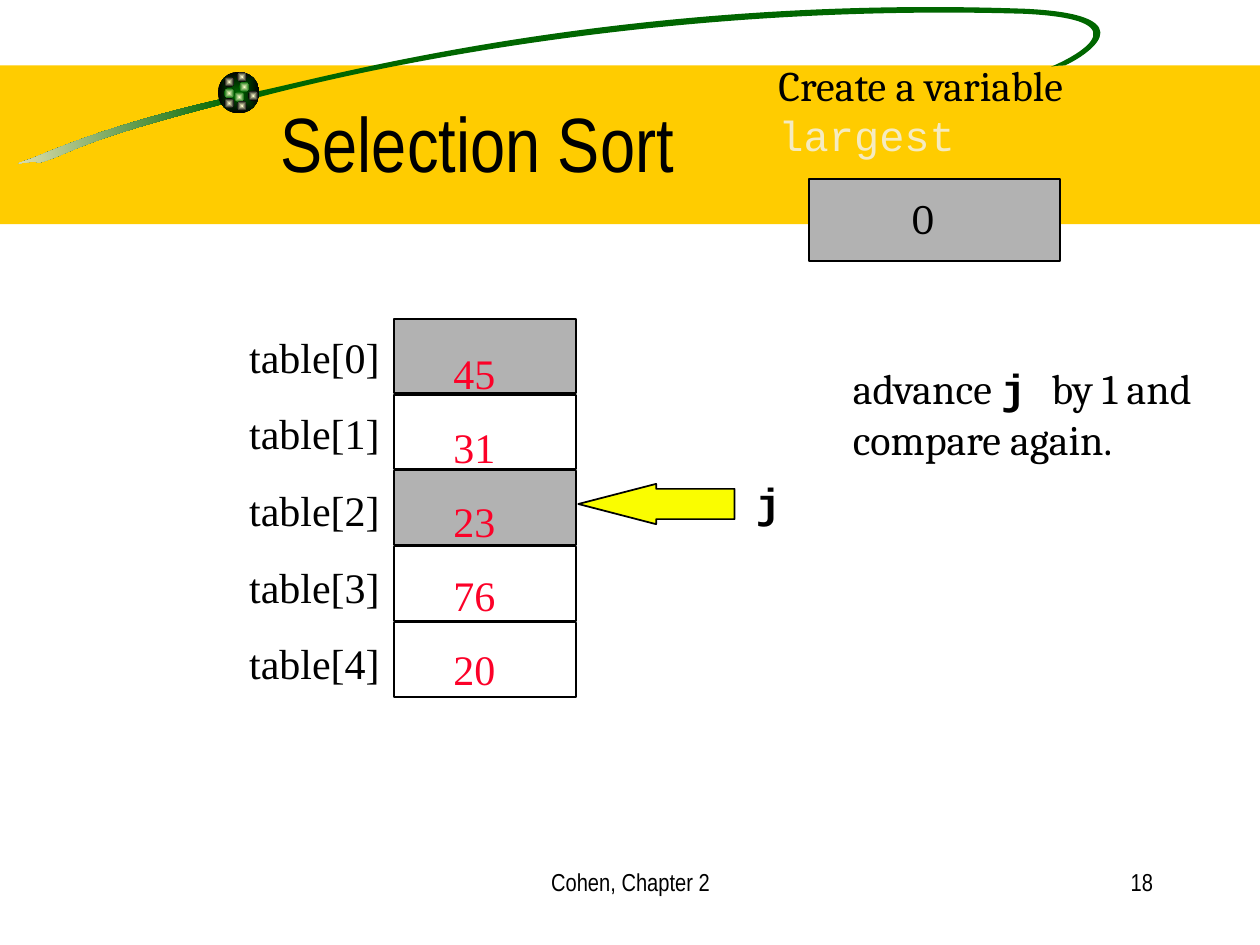
import math
from dataclasses import dataclass
from typing import Any

from lxml import etree
from pptx import Presentation
from pptx import util as u
from pptx.dml.color import RGBColor
from pptx.enum import shapes, text
from pptx.oxml.ns import qn

SHAPE = shapes.MSO_SHAPE
ALIGN = text.PP_ALIGN
GREEN, BLACK, CREAM, GREY, WHITE = "006600", "000000", "F5EBC1", "B2B2B2", "FFFFFF"
SERIF, SLAB, MONO, NARROW = "Times New Roman", "Cambria", "Courier New", "Arial Narrow"
TILT = 351.5

TAIL = [(1.78, 0.78), (0.91, 0.98), (0.49, 1.16), (0.25, 1.26),
        (0.01, 1.34), (0.26, 1.26), (0.31, 1.29),
        (0.57, 1.22), (0.57, 1.13), (1.79, 0.82),
        (1.79, 0.82), (1.78, 0.78), (1.78, 0.78)]
LOOP = [(2.02, 0.73), (2.46, 0.65), (4.86, -0.05), (8.14, 0.07),
        (9.17, 0.12), (8.57, 0.47), (8.45, 0.52),
        (8.45, 0.52), (8.38, 0.52), (8.34, 0.53),
        (8.44, 0.49), (9.16, 0.16), (8.13, 0.11),
        (5.48, 0.03), (3.2, 0.47), (2.06, 0.77),
        (2.06, 0.77), (2.02, 0.73), (2.02, 0.73)]
SPOTS = [(1.9, 0.65, GREEN), (1.78, 0.61, BLACK), (1.78, 0.7, GREEN),
         (1.86, 0.73, GREEN), (1.97, 0.72, BLACK), (1.88, 0.8, BLACK),
         (1.78, 0.78, BLACK), (1.88, 0.57, BLACK)]
VALUES = ["45", "31", "23", "76", "20"]


def color(code):
    """Turn a hex string into a colour."""
    return RGBColor.from_string(code)


def turn(point, center, degrees):
    """Turn a point clockwise around a centre, in inches."""
    angle = math.radians(degrees)
    x, y = point[0] - center[0], point[1] - center[1]
    return (u.Inches(center[0] + x * math.cos(angle) - y * math.sin(angle)),
            u.Inches(center[1] + x * math.sin(angle) + y * math.cos(angle)))


@dataclass
class Painter:
    """Draw styled elements on the current slide."""

    slide: Any
    size: int = 24

    def paint(self, shape, fill, line=None):
        """Give a shape its fill and outline without a shadow."""
        shape.shadow.inherit = False
        if isinstance(fill, tuple):
            shape.fill.gradient()
            for stop, code in zip(shape.fill.gradient_stops, fill):
                stop.color.rgb = color(code)
        else:
            shape.fill.solid()
            shape.fill.fore_color.rgb = color(fill)
        if line:
            shape.line.color.rgb = color(line)
            shape.line.width = u.Pt(1)
        else:
            shape.line.fill.background()
        return shape

    def shape(self, kind, left, top, width, height, fill, line=None):
        """Add a preset shape."""
        shape = self.slide.shapes.add_shape(
            kind, u.Inches(left), u.Inches(top), u.Inches(width), u.Inches(height))
        return self.paint(shape, fill, line)

    def veil(self, left, top, width, height, code):
        """Add a half transparent rectangle."""
        veil = self.shape(SHAPE.RECTANGLE, left, top, width, height, code)
        tint = veil._element.spPr.find(".//" + qn("a:srgbClr"))
        etree.SubElement(tint, qn("a:alpha"), val="50000")

    def ball(self, left, top, size, inner, outer):
        """Add a circle shaded from its centre outwards."""
        ball = self.shape(SHAPE.OVAL, left, top, size, size, (inner, outer))
        ball.fill.gradient_angle = 0
        linear = ball._element.spPr.find(".//" + qn("a:lin"))
        gradient = linear.getparent()
        gradient.remove(linear)
        shade = etree.SubElement(gradient, qn("a:path"), path="rect")
        etree.SubElement(shade, qn("a:fillToRect"),
                         {side: "50000" for side in "ltrb"})

    def swoosh(self, controls, center, fill):
        """Add a tilted closed outline made of cubic curves."""
        start, *rest = [turn(point, center, -TILT) for point in controls]
        builder = self.slide.shapes.build_freeform(*start)
        builder.add_line_segments(rest, close=True)
        outline = builder.convert_to_shape()
        segments = list(outline._element.iter(qn("a:lnTo")))
        for first in range(0, len(segments), 3):
            group = segments[first:first + 3]
            curve = etree.Element(qn("a:cubicBezTo"))
            group[0].addprevious(curve)
            for segment in group:
                curve.append(segment[0])
                segment.getparent().remove(segment)
        outline.rotation = TILT
        return self.paint(outline, fill)

    def text(self, left, top, width, height, lines, font=SERIF, size=None,
             code=BLACK, bold=False, align=ALIGN.LEFT, gap=0, middle=False, wrap=True):
        """Add a text box with one paragraph for each line."""
        box = self.slide.shapes.add_textbox(
            u.Inches(left), u.Inches(top), u.Inches(width), u.Inches(height))
        frame = box.text_frame
        frame.word_wrap = wrap
        if not wrap:
            frame.auto_size = text.MSO_AUTO_SIZE.SHAPE_TO_FIT_TEXT
        if middle:
            frame.vertical_anchor = text.MSO_ANCHOR.MIDDLE
        frame.text = "\n".join(lines)
        for index, para in enumerate(frame.paragraphs):
            para.alignment = align
            if index and gap:
                para.space_before = u.Pt(gap)
            for span in para.runs:
                self.style(span, font, code, bold, size)
        return frame.paragraphs[0]

    def style(self, span, font, code=BLACK, bold=False, size=None):
        """Set the font of a run."""
        span.font.name = font
        span.font.size = u.Pt(size or self.size)
        span.font.bold = bold
        span.font.color.rgb = color(code)

    def add_span(self, para, words, font, code=BLACK, bold=False):
        """Append a styled run to a paragraph."""
        span = para.add_run()
        span.text = words
        self.style(span, font, code, bold)


def main():
    """Build the selection sort slide."""
    deck = Presentation()
    deck.slide_width, deck.slide_height = u.Inches(10), u.Inches(7.5)
    page = Painter(deck.slides.add_slide(deck.slide_layouts[6]))

    page.shape(SHAPE.RECTANGLE, 0, 0.52, 10, 1.26, "FFCC00")
    tail = page.swoosh(TAIL, (0.89, 1.06), (GREEN, CREAM))
    tail.fill.gradient_angle = 180
    page.swoosh(LOOP, (5.59, 0.4), GREEN)
    page.ball(1.73, 0.57, 0.33, GREEN, BLACK)
    for left, top, outer in SPOTS:
        page.ball(left, top, 0.08, "FFFFCC", outer)
    page.veil(0.74, 2.06, 1.22, 5.44, WHITE)

    labels = [f"table[{index}]" for index in range(len(VALUES))]
    page.text(1.88, 2.58, 1.27, 2.93, labels, gap=15)
    pitch = (4.94 - 2.53) / (len(VALUES) - 1)
    for index in range(len(VALUES)):
        fill = GREY if index in (0, 2) else WHITE
        page.shape(SHAPE.RECTANGLE, 3.13, 2.53 + pitch * index, 1.44, 0.59, fill, BLACK)
    page.text(3.5, 2.71, 0.54, 2.85, VALUES, code="FC0128", gap=13.5, wrap=False)

    page.shape(SHAPE.RECTANGLE, 6.42, 1.42, 1.99, 0.65, GREY, BLACK)
    page.text(7.14, 1.48, 0.39, 0.5, ["0"], SLAB, wrap=False)

    advice = page.text(6.67, 2.83, 2.92, 1.3, ["advance "], SLAB)
    page.add_span(advice, "j ", MONO, bold=True)
    page.add_span(advice, "by 1 and compare again.", SLAB)

    arrow = page.shape(SHAPE.LEFT_ARROW, 4.59, 3.84, 1.24, 0.32, "FAFD00", BLACK)
    arrow.adjustments[0], arrow.adjustments[1] = 0.75, 1.93
    page.text(5.9, 3.73, 0.4, 0.5, ["j"], MONO, bold=True, wrap=False)

    variable = page.text(6.08, 0.42, 3.5, 0.9, ["Create a variable "], SLAB)
    page.add_span(variable, "largest", MONO, CREAM)

    page.text(1.75, 0.5, 4.08, 1.25, ["Selection Sort"], NARROW, 44,
              align=ALIGN.CENTER, middle=True)
    page.text(3.42, 6.83, 3.17, 0.5, ["Cohen, Chapter 2"], NARROW, 14, align=ALIGN.CENTER)
    page.text(7.17, 6.83, 2.08, 0.5, ["18"], NARROW, 14, align=ALIGN.RIGHT)

    deck.save("out.pptx")


if __name__ == "__main__":
    main()
